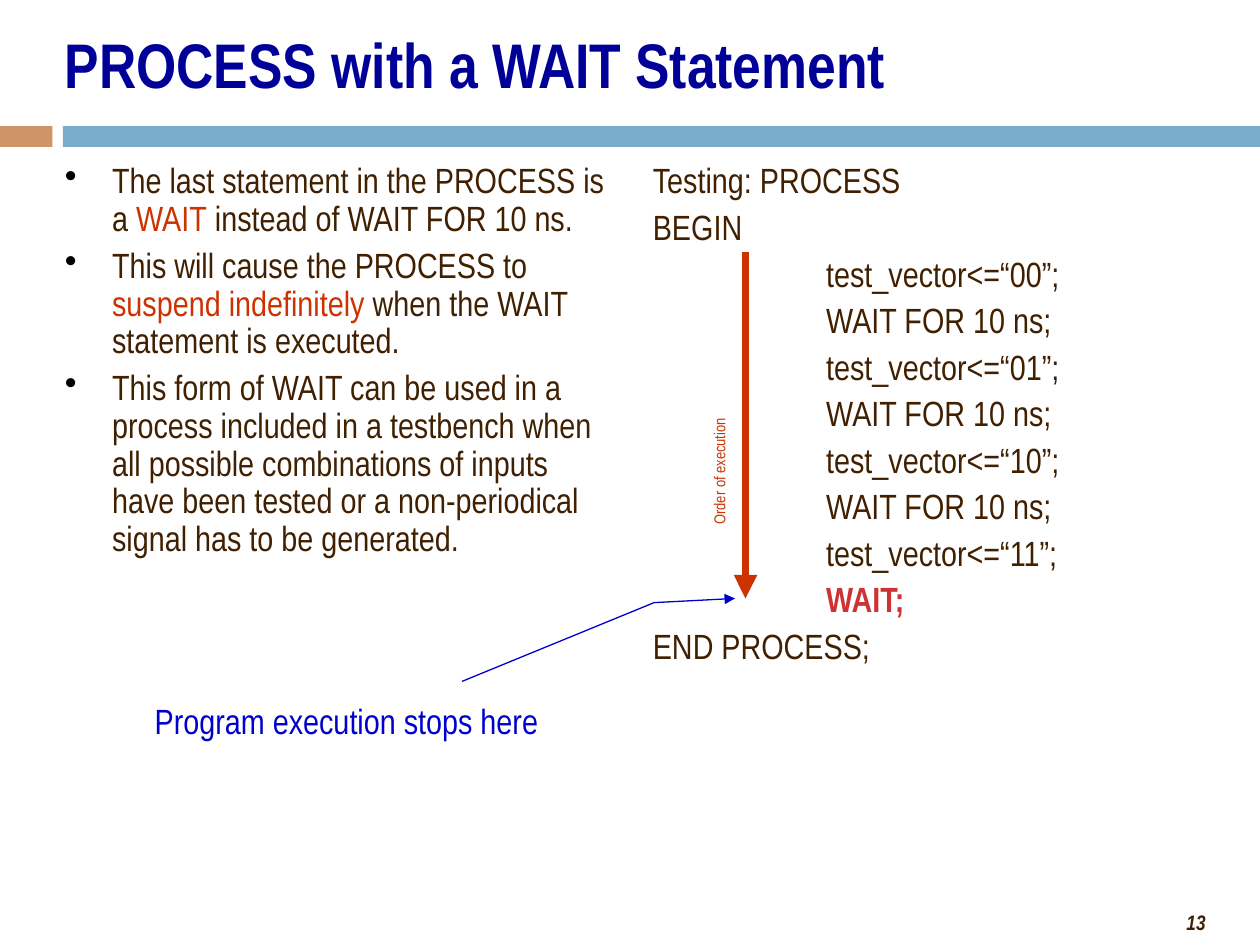
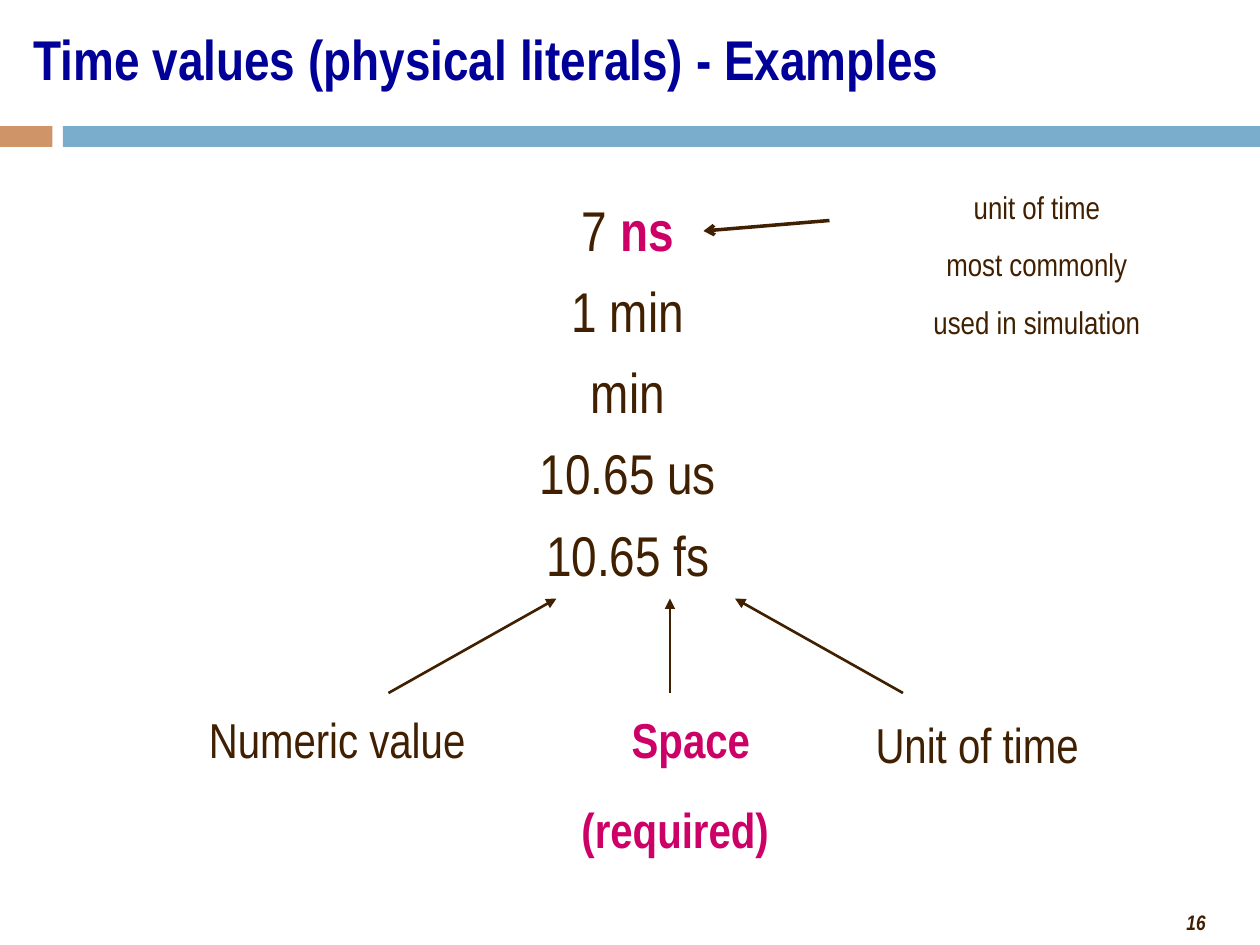
from lxml import etree
from pptx import Presentation
from pptx import util as u
from pptx.dml.color import RGBColor
from pptx.enum import shapes, text
from pptx.oxml.ns import qn

COLORS = {
    "brown": "402000", "navy": "000099", "blue": "0000CC", "rust": "CC3300",
    "red": "CD3333", "pink": "CC0066", "black": "000000",
    "tan_band": "CF9467", "blue_band": "7AADCC",
}
FONT = "Arial Narrow"
LEFT, CENTER, RIGHT = text.PP_ALIGN.LEFT, text.PP_ALIGN.CENTER, text.PP_ALIGN.RIGHT

presentation = Presentation()
presentation.slide_width = u.Inches(10)
presentation.slide_height = u.Inches(7.5)
CELL = presentation.slide_width / 120


def add_text(slide, box, paragraphs, size, color="brown", bold=False, italic=False,
             align=LEFT, anchor=text.MSO_ANCHOR.TOP, before=0, spacing=None,
             indents=None, bullet=False, wrap=True):
    shape = slide.shapes.add_textbox(*[round(cells * CELL) for cells in box])
    frame = shape.text_frame
    frame.word_wrap = wrap
    frame.vertical_anchor = anchor
    for index, content in enumerate(paragraphs):
        paragraph = frame.paragraphs[0] if index == 0 else frame.add_paragraph()
        paragraph.alignment = align
        if spacing:
            paragraph.line_spacing = spacing
        if index:
            paragraph.space_before = u.Pt(before)
        properties = paragraph._p.get_or_add_pPr()
        margin = indents[index] if indents else 0
        properties.set("marL", str(round(margin * CELL)))
        properties.set("indent", str(round(-margin * CELL) if bullet else 0))
        if bullet:
            bullet_color = etree.SubElement(properties, qn("a:buClr"))
            etree.SubElement(bullet_color, qn("a:srgbClr"), val=COLORS["black"])
            etree.SubElement(properties, qn("a:buChar"), char="•")
        paragraph.font.name = FONT
        paragraph.font.size = u.Pt(size)
        paragraph.font.bold = bold
        paragraph.font.italic = italic
        paragraph.font.color.rgb = RGBColor.from_string(COLORS[color])
        for part in [content] if isinstance(content, str) else content:
            run = paragraph.add_run()
            if isinstance(part, str):
                run.text = part
            else:
                run.text, run_color, run.font.bold = part
                run.font.color.rgb = RGBColor.from_string(COLORS[run_color])
    return shape


def add_arrow(slide, points, color, width, head="triangle"):
    points = [(round(x * CELL), round(y * CELL)) for x, y in points]
    if len(points) == 2:
        arrow = slide.shapes.add_connector(
            shapes.MSO_CONNECTOR.STRAIGHT, *points[0], *points[1])
    else:
        builder = slide.shapes.build_freeform(*points[0])
        builder.add_line_segments(points[1:], close=False)
        arrow = builder.convert_to_shape()
        arrow.fill.background()
    arrow.line.color.rgb = RGBColor.from_string(COLORS[color])
    arrow.line.width = u.Pt(width)
    properties = arrow.element.spPr
    etree.SubElement(properties.find(qn("a:ln")), qn("a:tailEnd"), type=head)
    etree.SubElement(properties, qn("a:effectLst"))


pages = [
    ("PROCESS with a WAIT Statement", (5, 0, 110, 12), 36, "13"),
    ("Time values (physical literals) - Examples", (2, -2, 115, 15), 32, "16"),
]
slides = []
for title, title_box, title_size, number in pages:
    slide = presentation.slides.add_slide(presentation.slide_layouts[6])
    slides.append(slide)
    for left, width, color in [(0, 5, "tan_band"), (6, 114, "blue_band")]:
        band = slide.shapes.add_shape(
            shapes.MSO_SHAPE.RECTANGLE,
            *[round(cells * CELL) for cells in (left, 12, width, 2)])
        band.shadow.inherit = False
        band.fill.solid()
        band.fill.fore_color.rgb = RGBColor.from_string(COLORS[color])
        band.line.fill.background()
    add_text(slide, (90, 86, 26, 3.6), [number], 12, bold=True, italic=True, align=RIGHT)
    add_text(slide, title_box, [title], title_size, "navy", bold=True,
             anchor=text.MSO_ANCHOR.MIDDLE)

wait_slide, time_slide = slides

explanation = [
    ["The last statement in the PROCESS is a ", ("WAIT", "rust", False),
     " instead of WAIT FOR 10 ns."],
    ["This will cause the PROCESS to ", ("suspend indefinitely", "rust", False),
     " when the WAIT statement is executed."],
    "This form of WAIT can be used in a process included in a testbench when all "
    "possible combinations of inputs have been tested or a non-periodical signal "
    "has to be generated.",
]
add_text(wait_slide, (5, 15, 54, 69), explanation, 20, before=5, spacing=0.9,
         indents=[4.5] * len(explanation), bullet=True)

steps = []
for vector in ["00", "01", "10", "11"]:
    steps += [f"test_vector<=“{vector}”;", "WAIT FOR 10 ns;"]
steps[-1] = [("WAIT;", "red", True)]
add_text(wait_slide, (61, 15, 54, 69),
         ["Testing: PROCESS", "BEGIN", *steps, "END PROCESS;"], 20,
         before=5, spacing=0.9, indents=[0, 0] + [16.5] * len(steps) + [0])

add_arrow(wait_slide, [(71, 24), (71, 57)], "rust", 4.5)
add_text(wait_slide, (-5, 66, 64, 5.3), ["Program execution stops here"], 20, "blue",
         align=CENTER, indents=[12])
add_arrow(wait_slide, [(44, 64.9), (62.3, 57.4), (70, 57)], "blue", 0.75)
order_label = add_text(wait_slide, (54.5, 49.4, 28, 3), ["Order of execution"], 9, "rust",
                       align=CENTER, indents=[12])
order_label.rotation = 270

add_text(time_slide, (5.8, 18, 108, 59.4),
         [["7 ", ("ns", "pink", True)], "1 min", "min", "10.65 us", "10.65 fs"], 32,
         align=CENTER, before=8)

for start, end in [((37, 66), (53, 57)), ((63.8, 66), (63.8, 57)), ((86, 66), (70, 57))]:
    add_arrow(time_slide, [start, end], "brown", 1.5)
add_arrow(time_slide, [(79, 21), (67, 22)], "brown", 2, "arrow")

literal_parts = [
    ((67.2, 67.5, 39.7, 6.8), ["Unit of time"], "brown", [12]),
    ((39.2, 67, 38.2, 15.4), ["Space", "(required)"], "pink", [15, 12]),
    ((3.7, 67, 44.8, 6.8), ["Numeric value"], "brown", [12]),
]
for box, words, color, indents in literal_parts:
    add_text(time_slide, box, words, 28, color, bold=color == "pink", align=CENTER,
             before=17.5, indents=indents)

add_text(time_slide, (87.7, 17.3, 22.1, 15.8),
         ["unit of time", "most commonly", "used in simulation"], 18,
         align=CENTER, before=11.2, wrap=False)

presentation.save("out.pptx")
